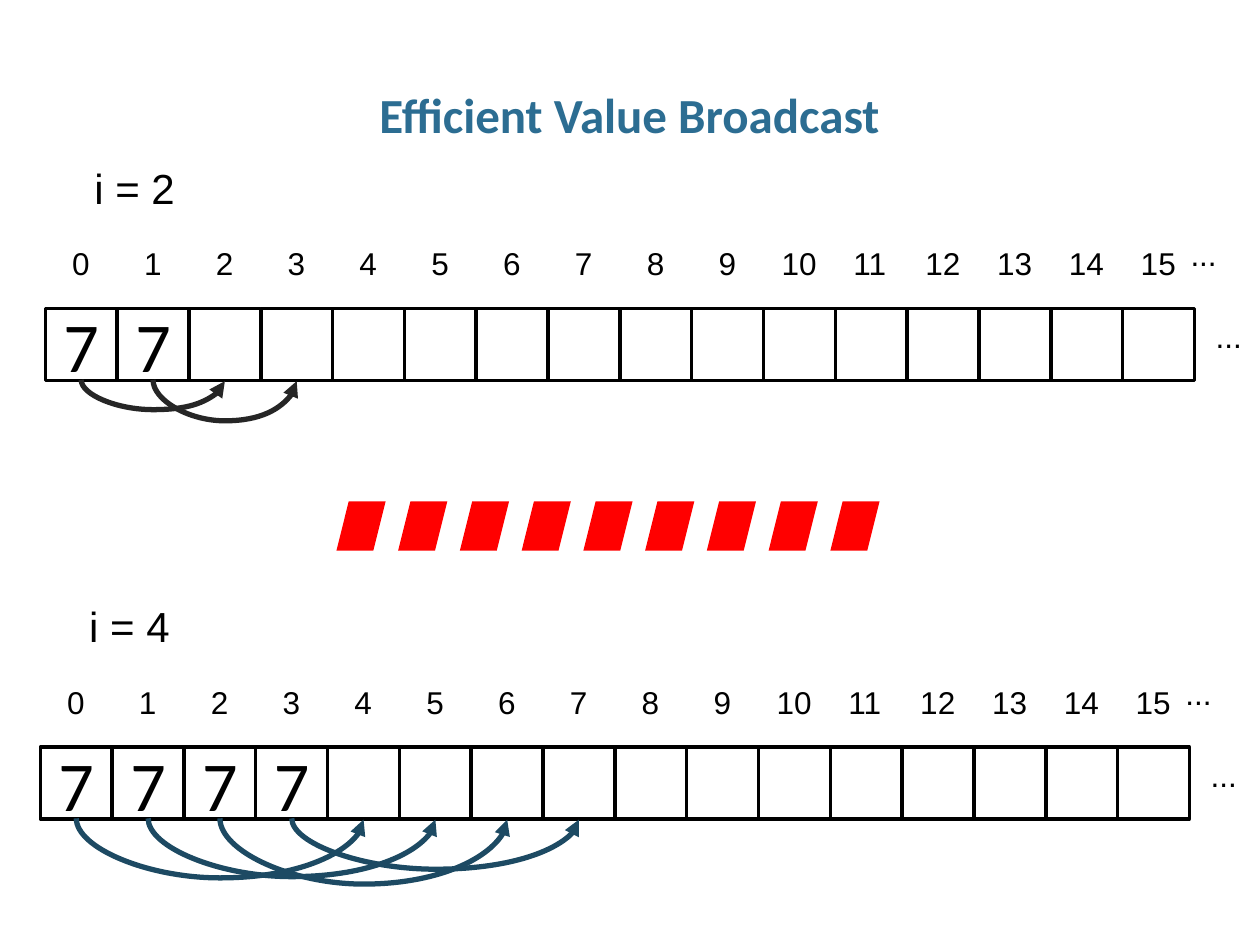
import pptx
import pptx.util
import pptx.dml.color
import pptx.enum.shapes
import pptx.enum.text
import pptx.oxml
import pptx.oxml.ns

Inches, Pt = pptx.util.Inches, pptx.util.Pt
SHAPES = pptx.enum.shapes.MSO_SHAPE
CENTER = pptx.enum.text.PP_ALIGN.CENTER
MIDDLE = pptx.enum.text.MSO_ANCHOR.MIDDLE

CELL = 0.57
CELL_COUNT = 16
CURVE_RISE = 0.01


def paint(color_format, color):
    color_format.rgb = pptx.dml.color.RGBColor.from_string(color)


def write(box, text, size, font, color="000000", bold=False):
    span = box.text_frame.paragraphs[0].add_run()
    span.text = text
    span.font.size = Pt(size)
    span.font.name = font
    span.font.bold = bold
    paint(span.font.color, color)


deck = pptx.Presentation()
deck.slide_width, deck.slide_height = Inches(10), Inches(7.5)
page = deck.slides.add_slide(deck.slide_layouts[5])

# Title
title = page.shapes.title
title.left, title.top = Inches(0.34), Inches(0.68)
title.width, title.height = Inches(9.31), Inches(0.5)
frame = title.text_frame
frame.margin_left = frame.margin_right = 0
frame.vertical_anchor = MIDDLE
frame.paragraphs[0].alignment = CENTER
frame.paragraphs[0].line_spacing = 0.95
write(title, "Efficient Value Broadcast", 28, "Calibri", "2C6D92", True)

# Each step: left, top of cells, filled cells, curve colour, curve depths
steps = [
    (0.36, 2.45, 2, "262626", [0.24, 0.33]),
    (0.32, 5.93, 4, "1D4A63", [0.48, 0.47, 0.53, 0.41]),
]
for left, top, filled, curve_color, depths in steps:
    # Array cells
    for index in range(CELL_COUNT):
        cell = page.shapes.add_shape(
            SHAPES.RECTANGLE, Inches(left + index * CELL), Inches(top),
            Inches(CELL), Inches(CELL))
        cell.shadow.inherit = False
        cell.fill.background()
        paint(cell.line.color, "000000")
        cell.line.width = Pt(2)
        if index < filled:
            cell.text_frame.vertical_anchor = MIDDLE
            cell.text_frame.paragraphs[0].alignment = CENTER
            write(cell, "7", 40, "Calibri")

    # Indices, ellipses and step label
    labels = []
    for index in range(CELL_COUNT):
        width = 0.34 if index < 10 else 0.48
        x = left + (index + 0.5) * CELL - width / 2
        labels.append((str(index), x, top - 0.56, width, 0.4, 18))
    labels += [
        ("...", left + 8.99, top - 0.63, 0.41, 0.4, 18),
        ("...", left + 9.19, top + 0.02, 0.41, 0.4, 18),
        (f"i = {filled}", left + 0.29, top - 1.21, 0.85, 0.5, 24),
    ]
    for text, x, y, width, height, size in labels:
        box = page.shapes.add_textbox(
            Inches(x), Inches(y), Inches(width), Inches(height))
        box.text_frame.word_wrap = False
        box.text_frame.auto_size = pptx.enum.text.MSO_AUTO_SIZE.SHAPE_TO_FIT_TEXT
        write(box, text, size, "Arial")

    # Copy arrows: upright curves turned a quarter so they hang below the cells
    reach = filled * CELL
    for index, depth in enumerate(depths):
        middle_x = left + (index + 0.5) * CELL + reach / 2
        middle_y = top + CELL
        curve = page.shapes.add_connector(
            pptx.enum.shapes.MSO_CONNECTOR.CURVE,
            Inches(middle_x + CURVE_RISE / 2), Inches(middle_y - reach / 2),
            Inches(middle_x - CURVE_RISE / 2), Inches(middle_y + reach / 2))
        curve.rotation = 270
        paint(curve.line.color, curve_color)
        curve.line.width = Pt(3)
        namespace = pptx.oxml.ns.nsdecls("a")
        curve.line._get_or_add_ln().append(
            pptx.oxml.parse_xml(f'<a:tailEnd {namespace} type="triangle"/>'))
        properties = curve._element.spPr
        properties.append(pptx.oxml.parse_xml(f"<a:effectLst {namespace}/>"))
        bend = round(depth / CURVE_RISE * 100000)
        properties.find(".//" + pptx.oxml.ns.qn("a:avLst")).append(
            pptx.oxml.parse_xml(
                f'<a:gd {namespace} name="adj1" fmla="val {bend}"/>'))

# Red divider
for index in range(9):
    mark = page.shapes.add_shape(
        SHAPES.PARALLELOGRAM, Inches(2.67 + index * 0.49), Inches(3.98),
        Inches(0.39), Inches(0.39))
    mark.shadow.inherit = False
    mark.fill.solid()
    paint(mark.fill.fore_color, "FF0000")
    mark.line.fill.background()

deck.save("out.pptx")
